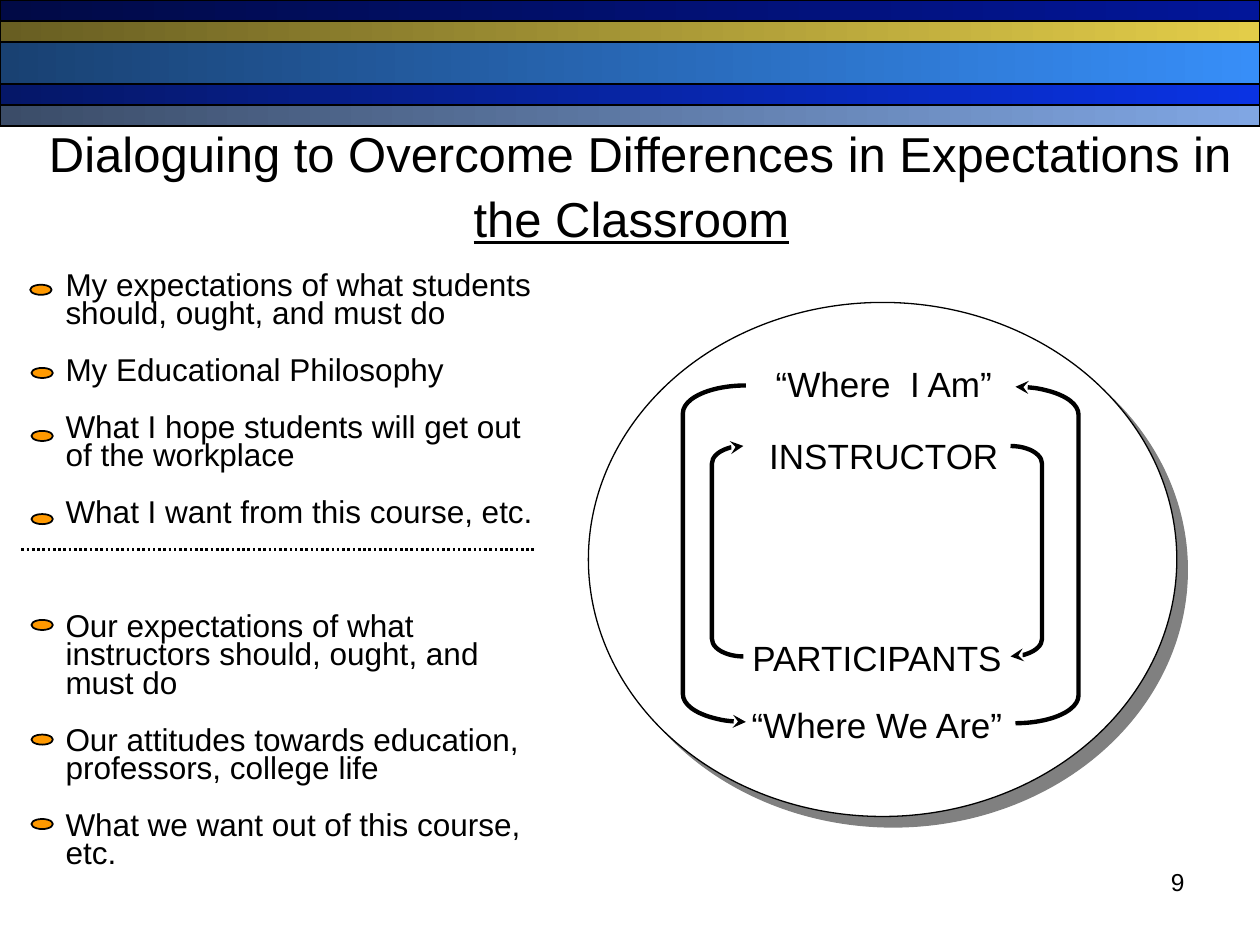
from lxml import etree
from pptx import Presentation
from pptx.dml.color import RGBColor
from pptx.enum import dml, shapes, text
from pptx.oxml import parse_xml
from pptx.oxml.ns import nsdecls, qn
from pptx.util import Inches, Pt

SHAPE, ALIGN = shapes.MSO_SHAPE, text.PP_ALIGN
BLACK = "000000"

# start row, height in rows, left colour, right colour
ROW = 1 / 6
BANDS = [
    (0, 1, "010A46", "021699"),
    (1, 1, "685E22", "E3CD49"),
    (2, 2, "194172", "378EF8"),
    (4, 1, "051768", "0A33E3"),
    (5, 1, "3B4C68", "80A6E3"),
]
TITLE = [  # text, size, underlined
    ("Dialoguing to Overcome Differences in Expectations in ", 28, False),
    ("the Classroom", 28, True),
    (" ", 36, False),
]
GAP = 16.3
EXPECTATIONS = [  # text, space before in points
    ("My expectations of what students should, ought, and must do", 0),
    ("My Educational Philosophy", GAP),
    ("What I hope students will get out of the workplace", GAP),
    ("What I want from this course, etc.", GAP),
    ("Our expectations of what instructors should, ought, and must do", 3 * GAP),
    ("Our attitudes towards education, professors, college life", GAP),
    ("What we want out of this course, etc.", GAP),
]
MARKERS = [(0.24, 2.26), (0.25, 2.92), (0.25, 3.42), (0.25, 4.08),
           (0.25, 4.92), (0.25, 5.83), (0.25, 6.5)]
ROLES = [  # box, second line spacing, lines
    ((5.86, 2.83, 2.31, 1.02), 1.25, ["“Where  I Am”", "INSTRUCTOR"]),
    ((5.25, 5, 3.42, 0.98), 1.15, ["PARTICIPANTS", "“Where We Are”"]),
]
LOOPS = [  # bracket, box, curvature, arrow end
    (SHAPE.LEFT_BRACKET, (5.65, 3.54, 0.25, 1.67), 0.56, "tailEnd"),
    (SHAPE.RIGHT_BRACKET, (8.02, 3.54, 0.25, 1.67), 0.56, "tailEnd"),
    (SHAPE.LEFT_BRACKET, (5.42, 3.06, 0.5, 2.67), 0.44, "headEnd"),
    (SHAPE.RIGHT_BRACKET, (8.06, 3.07, 0.5, 2.67), 0.44, "headEnd"),
]


def rgb(value):
    return RGBColor.from_string(value)


def place(item, box):
    item.left, item.top, item.width, item.height = map(Inches, box)


def style(span, size, underline=False):
    span.font.name = "Arial"
    span.font.size = Pt(size)
    span.font.underline = underline
    span.font.color.rgb = rgb(BLACK)


def prepare(frame):
    frame.word_wrap = True
    frame.auto_size = text.MSO_AUTO_SIZE.NONE
    frame.vertical_anchor = text.MSO_ANCHOR.TOP


def add_paragraph(frame, index, words, size, align, spacing=1.0, before=0):
    para = frame.add_paragraph() if index else frame.paragraphs[0]
    para.text = words
    para.alignment = align
    para.line_spacing = spacing
    para.space_before = Pt(before)
    style(para.runs[0], size)
    return para


def add_text_box(page, box):
    frame = page.shapes.add_textbox(*map(Inches, box)).text_frame
    prepare(frame)
    return frame


def add_outlined(page, kind, box, width, fill=None):
    shape = page.shapes.add_shape(kind, *map(Inches, box))
    shape.shadow.inherit = False
    if fill:
        shape.fill.solid()
        shape.fill.fore_color.rgb = rgb(fill)
    else:
        shape.fill.background()
    shape.line.color.rgb = rgb(BLACK)
    shape.line.width = Pt(width)
    return shape


def add_bands(page):
    for row, rows, left, right in BANDS:
        band = add_outlined(page, SHAPE.RECTANGLE,
                            (0, row * ROW, 10, rows * ROW), 0.75)
        band.fill.gradient()
        band.fill.gradient_angle = 0
        for stop, colour in zip(band.fill.gradient_stops, (left, right)):
            stop.color.rgb = rgb(colour)


def add_title(page):
    title = page.shapes.title
    place(title, (0.08, 0.98, 10, 0.94))
    prepare(title.text_frame)
    para = title.text_frame.paragraphs[0]
    para.alignment = ALIGN.CENTER
    para.line_spacing = 0.9
    for words, size, underline in TITLE:
        span = para.add_run()
        span.text = words
        style(span, size, underline)


def add_expectations(page):
    body = page.placeholders[1]
    place(body, (0.42, 2.12, 4.08, 5.29))
    prepare(body.text_frame)
    for index, (words, before) in enumerate(EXPECTATIONS):
        para = add_paragraph(body.text_frame, index, words, 18,
                             ALIGN.LEFT, 0.75, before)
        props = para._p.get_or_add_pPr()
        props.set("marL", "0")
        props.set("indent", "0")
        etree.SubElement(props, qn("a:buNone"))
    for left, top in MARKERS:
        add_outlined(page, SHAPE.OVAL, (left, top, 0.17, 0.08), 1, "FF9900")

    divider = page.shapes.add_connector(
        shapes.MSO_CONNECTOR.STRAIGHT,
        *map(Inches, (0.17, 4.36, 4.25, 4.36)))
    divider.line.color.rgb = rgb(BLACK)
    divider.line.width = Pt(1.5)
    divider.line.dash_style = dml.MSO_LINE.ROUND_DOT
    etree.SubElement(divider._element.spPr, qn("a:effectLst"))


def add_dialogue(page):
    circle = add_outlined(page, SHAPE.OVAL, (4.67, 2.4, 4.67, 4.08), 0.75, "FFFFFF")
    circle._element.spPr.find(qn("a:effectLst")).append(parse_xml(
        f'<a:outerShdw {nsdecls("a")} dist="{Pt(8.5)}" dir="2700000" algn="ctr" '
        'rotWithShape="0"><a:srgbClr val="808080"/></a:outerShdw>'))
    for box, spacing, lines in ROLES:
        frame = add_text_box(page, box)
        for index, words in enumerate(lines):
            add_paragraph(frame, index, words, 20, ALIGN.CENTER,
                          spacing if index else 1.0, 11 * index)
    for kind, box, curve, end in LOOPS:
        loop = add_outlined(page, kind, box, 2.5)
        loop.adjustments[0] = curve
        etree.SubElement(loop.line._get_or_add_ln(), qn(f"a:{end}"), type="stealth")


def main():
    deck = Presentation()
    deck.slide_width, deck.slide_height = Inches(10), Inches(7.5)
    page = deck.slides.add_slide(deck.slide_layouts[1])
    add_bands(page)
    add_title(page)
    add_expectations(page)
    add_dialogue(page)
    number = add_text_box(page, (7.17, 6.83, 2.33, 0.52))
    add_paragraph(number, 0, "9", 14, ALIGN.RIGHT)
    deck.save("out.pptx")


if __name__ == "__main__":
    main()
